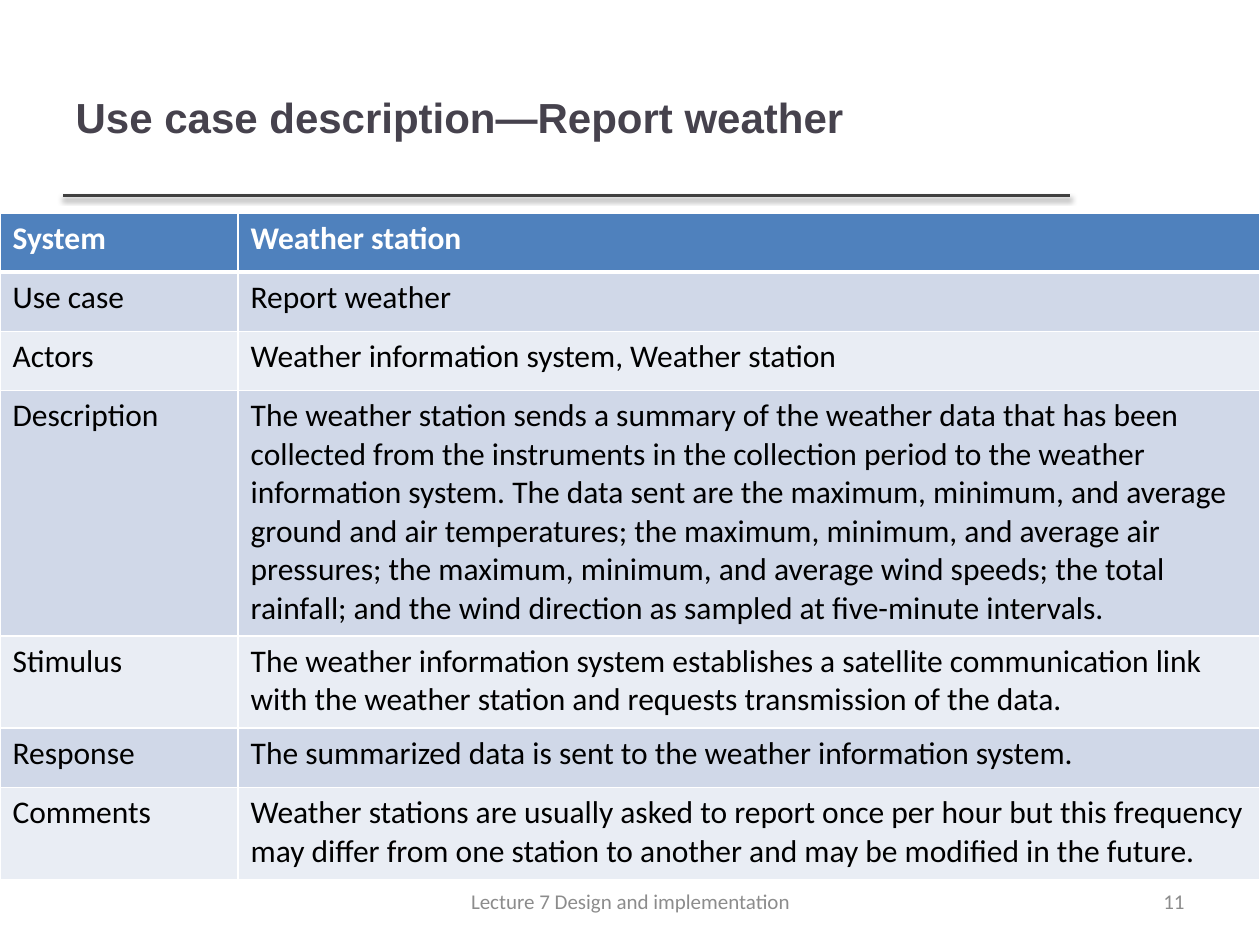
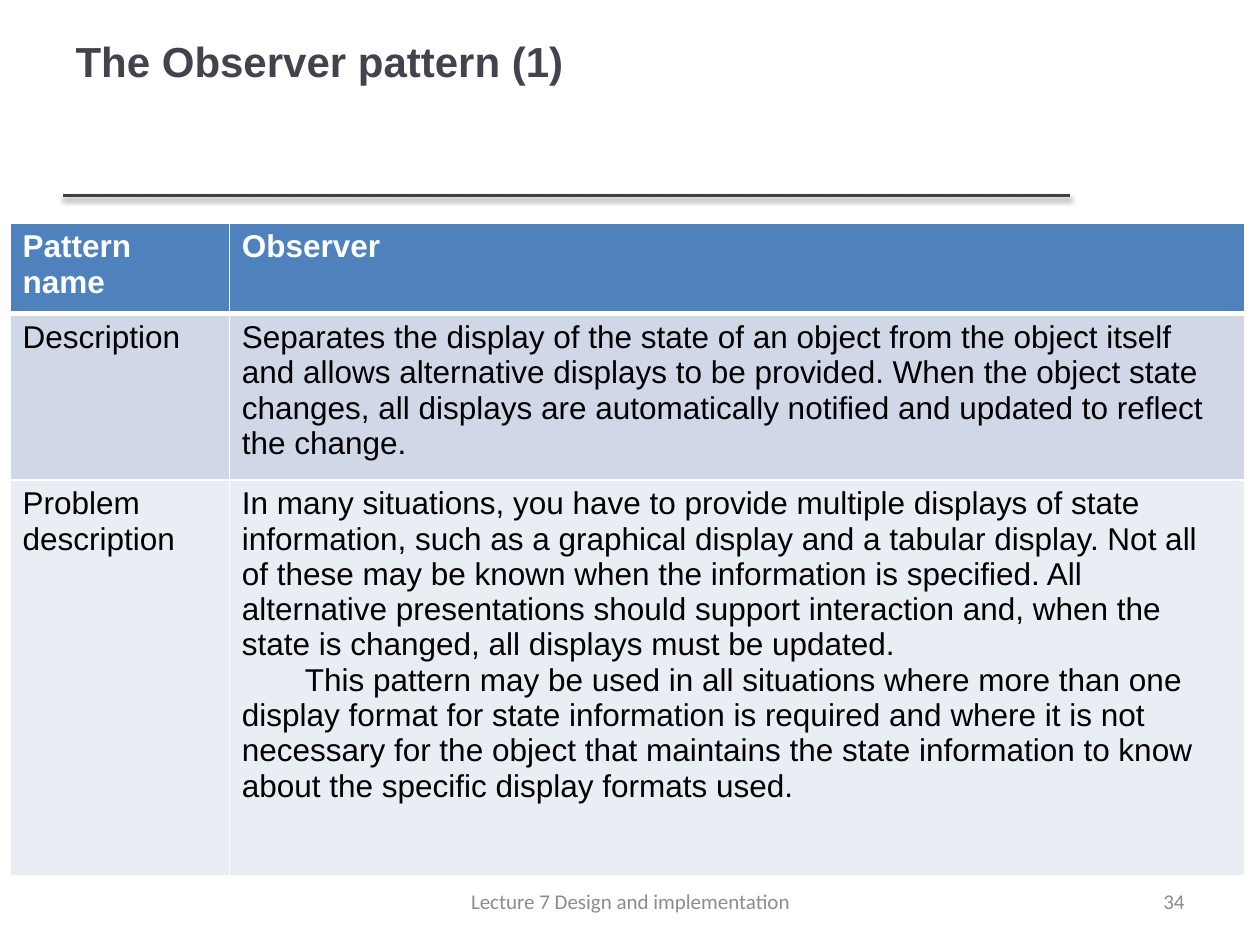
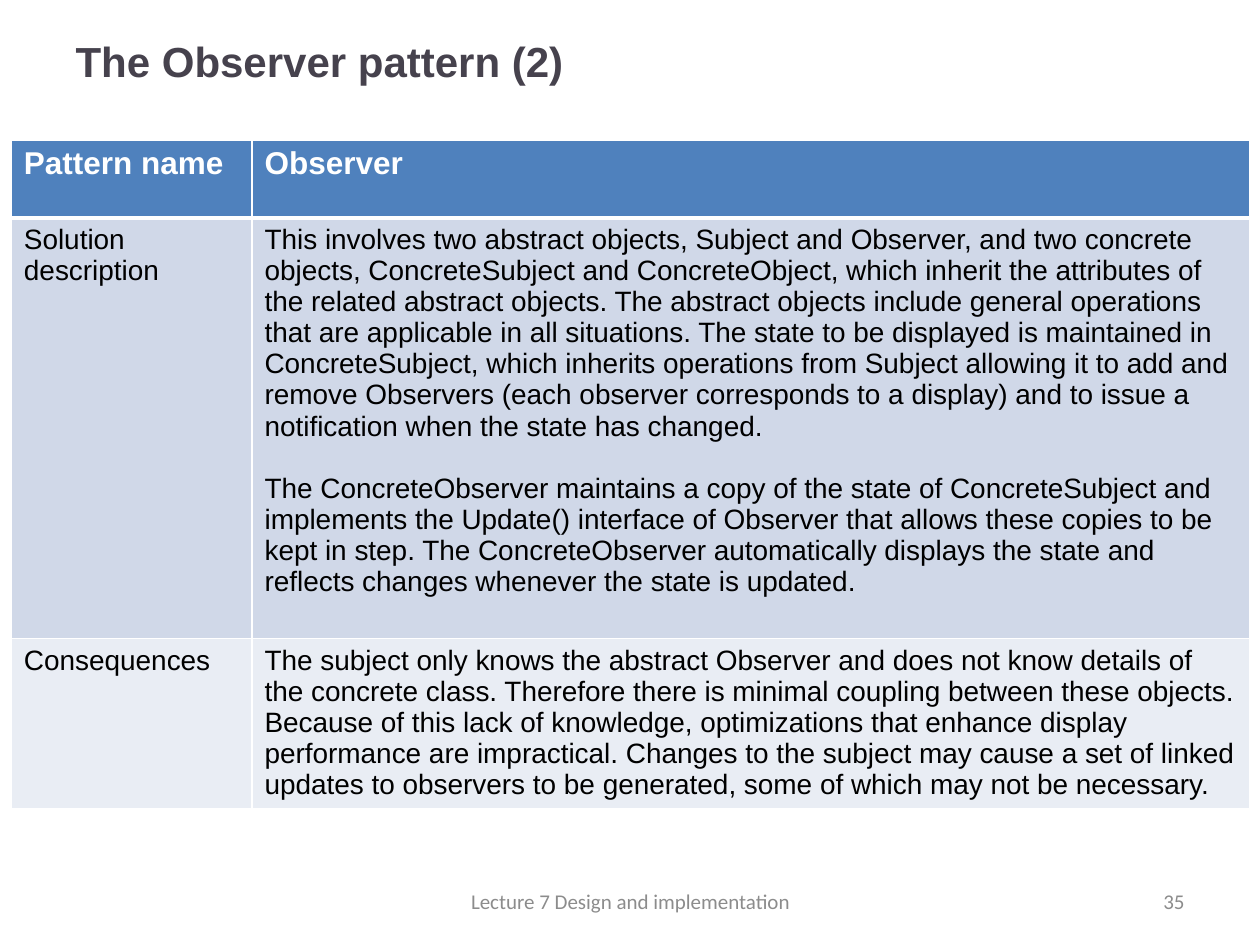
"""Builds three lecture slides, each a titled two-column description table."""
from dataclasses import dataclass

from lxml import etree
from pptx import Presentation
from pptx import util as u
from pptx.dml.color import RGBColor
from pptx.enum import shapes, text
from pptx.oxml import parse_xml

NS = "http://schemas.openxmlformats.org/drawingml/2006/main"


@dataclass(frozen=True)
class Theme:
    head: str = "4F81BD"
    bands: tuple = ("D0D8E8", "E9EDF4")
    white: str = "FFFFFF"
    black: str = "000000"
    title: str = "46424D"
    rule: str = "404040"
    muted: str = "8C8C8C"
    sans: str = "Arial"
    body: str = "Calibri"
    title_size: int = 24
    head_size: int = 18
    foot_size: int = 12


T = Theme()
WIDTH, HEIGHT, MARGIN = 10, 7.5, 0.5
RULE_Y, RULE_END = 1.55, 8.49
FOOT_Y, FOOT_H = 6.95, 0.4
FOOTER = "Lecture 7 Design and implementation"

SLIDES = [
    dict(
        title="Use case description—Report weather", title_box=(0.3, 7.98), number=11,
        at=(0, 1.69), cols=(1.89, 8.11), heights=(0.47, 0.47, 0.47, 1.95, 0.73, 0.47, 0.73),
        font=T.body, size=18, indent=0, gap=0,
        rows=[
            ("System", "Weather station"),
            ("Use case", "Report weather"),
            ("Actors", "Weather information system, Weather station"),
            ("Description",
             "The weather station sends a summary of the weather data that has been collected "
             "from the instruments in the collection period to the weather information system. "
             "The data sent are the maximum, minimum, and average ground and air temperatures; "
             "the maximum, minimum, and average air pressures; the maximum, minimum, and average "
             "wind speeds; the total rainfall; and the wind direction as sampled at five-minute "
             "intervals."),
            ("Stimulus",
             "The weather information system establishes a satellite communication link with "
             "the weather station and requests transmission of the data."),
            ("Response", "The summarized data is sent to the weather information system."),
            ("Comments",
             "Weather stations are usually asked to report once per hour but this frequency may "
             "differ from one station to another and may be modified in the future."),
        ],
    ),
    dict(
        title="The Observer pattern (1)", title_box=(-0.14, 9), number=34,
        at=(0.08, 1.77), cols=(1.74, 8.06), heights=(0.72, 1.32, 3.14),
        font=T.sans, size=18, indent=0.5, gap=0,
        rows=[
            ("Pattern name", "Observer"),
            ("Description",
             "Separates the display of the state of an object from the object itself and allows "
             "alternative displays to be provided. When the object state changes, all displays "
             "are automatically notified and updated to reflect the change."),
            ("Problem description",
             "In many situations, you have to provide multiple displays of state information, "
             "such as a graphical display and a tabular display. Not all of these may be known "
             "when the information is specified. All alternative presentations should support "
             "interaction and, when the state is changed, all displays must be updated.\n"
             "This pattern may be used in all situations where more than one display format for "
             "state information is required and where it is not necessary for the object that "
             "maintains the state information to know about the specific display formats used."),
        ],
    ),
    dict(
        title="The Observer pattern (2)", title_box=(-0.14, 9), number=35,
        at=(0.09, 1.11), cols=(1.91, 7.92), heights=(0.62, 3.34, 1.35),
        font=T.sans, size=16, indent=0, gap=18,
        rows=[
            ("Pattern name", "Observer"),
            ("Solution description",
             "This involves two abstract objects, Subject and Observer, and two concrete objects, "
             "ConcreteSubject and ConcreteObject, which inherit the attributes of the related "
             "abstract objects. The abstract objects include general operations that are "
             "applicable in all situations. The state to be displayed is maintained in "
             "ConcreteSubject, which inherits operations from Subject allowing it to add and "
             "remove Observers (each observer corresponds to a display) and to issue a "
             "notification when the state has changed.\n"
             "The ConcreteObserver maintains a copy of the state of ConcreteSubject and "
             "implements the Update() interface of Observer that allows these copies to be kept "
             "in step. The ConcreteObserver automatically displays the state and reflects "
             "changes whenever the state is updated."),
            ("Consequences",
             "The subject only knows the abstract Observer and does not know details of the "
             "concrete class. Therefore there is minimal coupling between these objects. Because "
             "of this lack of knowledge, optimizations that enhance display performance are "
             "impractical. Changes to the subject may cause a set of linked updates to observers "
             "to be generated, some of which may not be necessary."),
        ],
    ),
]


def inches(*values):
    return [u.Inches(v) for v in values]


def style(tf, font, size, color, bold=False, align=text.PP_ALIGN.LEFT):
    for p in tf.paragraphs:
        p.alignment = align
        for r in p.runs:
            r.font.name, r.font.size, r.font.bold = font, u.Pt(size), bold
            r.font.color.rgb = RGBColor.from_string(color)


def add_rule(sld, layout):
    line = sld.shapes.add_connector(
        shapes.MSO_CONNECTOR.STRAIGHT, *inches(MARGIN, RULE_Y, RULE_END, RULE_Y))
    line.line.color.rgb = RGBColor.from_string(T.rule)
    line.line.width = u.Pt(2)
    line.element.spPr.append(parse_xml(
        f'<a:effectLst xmlns:a="{NS}"><a:outerShdw blurRad="40000" dist="20000" dir="5400000" '
        f'rotWithShape="0"><a:srgbClr val="{T.black}"><a:alpha val="38000"/></a:srgbClr>'
        '</a:outerShdw></a:effectLst>'))
    layout.shapes.element.append(line.element)


def add_title(sld, title, top, width):
    sp = sld.shapes.title
    sp.left, sp.top, sp.width, sp.height = inches(MARGIN, top, width, 1.25)
    tf = sp.text_frame
    tf.text = title
    tf.vertical_anchor = text.MSO_ANCHOR.MIDDLE
    style(tf, T.sans, T.title_size, T.title, True)


def add_foot(sld, words, left, width, align):
    tf = sld.shapes.add_textbox(*inches(left, FOOT_Y, width, FOOT_H)).text_frame
    tf.text = words
    tf.word_wrap = True
    tf.vertical_anchor = text.MSO_ANCHOR.MIDDLE
    style(tf, T.body, T.foot_size, T.muted, align=align)


def set_borders(cell, bottom, top):
    tc_pr = cell._tc.get_or_add_tcPr()
    for i, (side, width) in enumerate((("L", 1), ("R", 1), ("T", top), ("B", bottom))):
        ln = etree.Element(f"{{{NS}}}ln{side}", w=str(u.Pt(width)))
        fill = etree.SubElement(ln, f"{{{NS}}}solidFill")
        etree.SubElement(fill, f"{{{NS}}}srgbClr", val=T.white)
        tc_pr.insert(i, ln)


def add_table(sld, data):
    size = sum(data["cols"]), sum(data["heights"])
    table = sld.shapes.add_table(
        len(data["rows"]), len(data["cols"]), *inches(*data["at"], *size)).table
    for col, width in zip(table.columns, data["cols"]):
        col.width = u.Inches(width)
    for i, (row, height, words) in enumerate(zip(table.rows, data["heights"], data["rows"])):
        row.height = u.Inches(height)
        head = i == 0
        for cell, content in zip(row.cells, words):
            tf = cell.text_frame
            tf.text = content
            cell.fill.solid()
            cell.fill.fore_color.rgb = RGBColor.from_string(T.head if head else T.bands[(i - 1) % 2])
            set_borders(cell, bottom=3 if head else 1, top=3 if i == 1 else 1)
            style(tf, data["font"], T.head_size if head else data["size"],
                  T.white if head else T.black, head)
            for p in tf.paragraphs[1:]:
                p.space_before = u.Pt(data["gap"])
                p._p.get_or_add_pPr().set("indent", str(u.Inches(data["indent"])))


def main():
    prs = Presentation()
    prs.slide_width, prs.slide_height = inches(WIDTH, HEIGHT)
    layout = prs.slide_layouts[5]
    for i, data in enumerate(SLIDES):
        sld = prs.slides.add_slide(layout)
        if i == 0:
            add_rule(sld, layout)
        add_title(sld, data["title"], *data["title_box"])
        add_table(sld, data)
        add_foot(sld, str(data["number"]), 7.17, 2.33, text.PP_ALIGN.RIGHT)
        add_foot(sld, FOOTER, 3.42, 3.17, text.PP_ALIGN.CENTER)
    prs.save("out.pptx")


if __name__ == "__main__":
    main()
